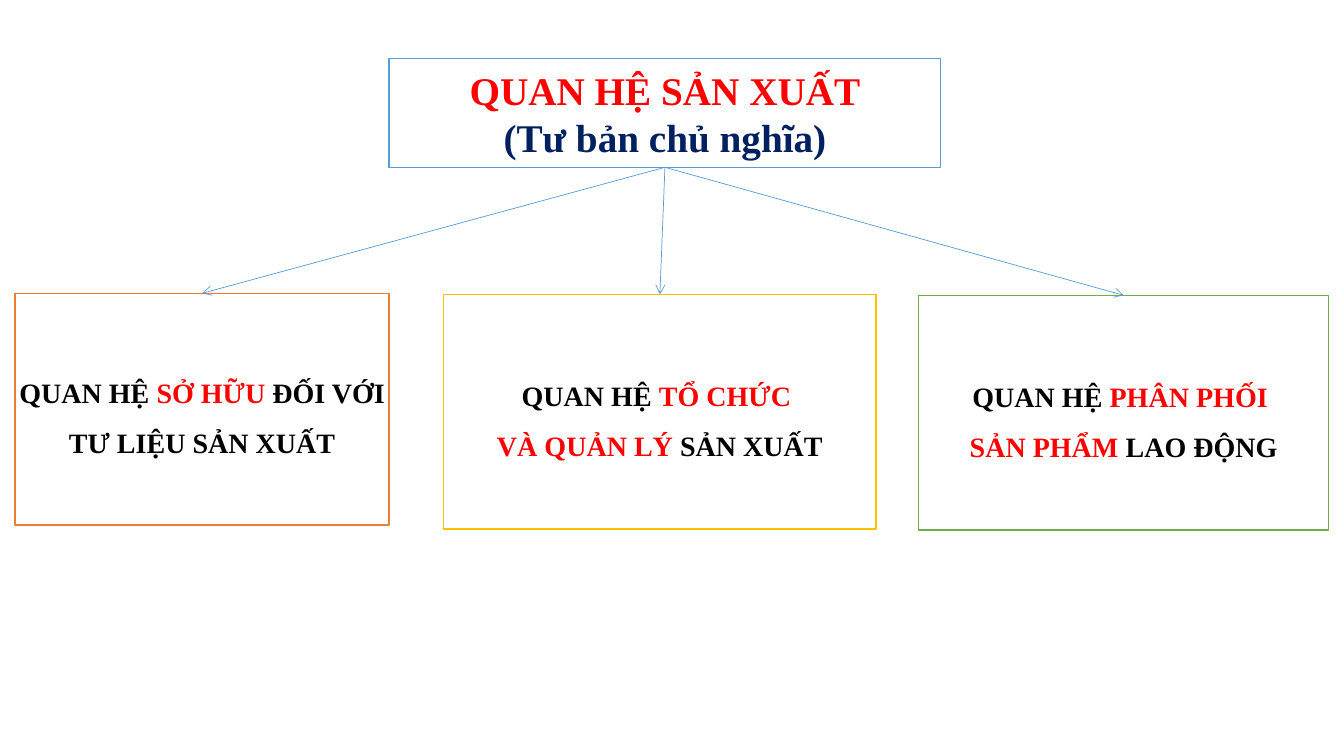
from lxml import etree
from pptx import Presentation
from pptx.dml.color import RGBColor
from pptx.enum.shapes import MSO_CONNECTOR, MSO_SHAPE
from pptx.enum.text import MSO_ANCHOR, PP_ALIGN
from pptx.oxml.ns import qn
from pptx.util import Inches, Pt

RECTANGLE = MSO_SHAPE.RECTANGLE
STRAIGHT = MSO_CONNECTOR.STRAIGHT
MIDDLE = MSO_ANCHOR.MIDDLE
CENTER = PP_ALIGN.CENTER
TOP_SITE, BOTTOM_SITE = 0, 2

WHITE = RGBColor(0xFF, 0xFF, 0xFF)
BLACK = RGBColor(0x00, 0x00, 0x00)
RED = RGBColor(0xFF, 0x00, 0x00)
NAVY = RGBColor(0x00, 0x20, 0x60)
BLUE = RGBColor(0x5B, 0x9B, 0xD5)
ORANGE = RGBColor(0xED, 0x7D, 0x31)
GOLD = RGBColor(0xFF, 0xC0, 0x00)
GREEN = RGBColor(0x70, 0xAD, 0x47)

TITLE = [[("QUAN HỆ SẢN XUẤT", RED)], [("(Tư bản chủ nghĩa)", NAVY)]]
BRANCHES = [
    ((0.15, 2.91, 3.71, 2.3), ORANGE, [
        [("QUAN HỆ ", BLACK), ("SỞ HỮU ", RED), ("ĐỐI VỚI", BLACK)],
        [("TƯ LIỆU SẢN XUẤT", BLACK)]]),
    ((4.4, 2.92, 4.29, 2.33), GOLD, [
        [("QUAN HỆ ", BLACK), ("TỔ CHỨC ", RED)],
        [("VÀ QUẢN LÝ", RED), (" SẢN XUẤT", BLACK)]]),
    ((9.11, 2.93, 4.07, 2.33), GREEN, [
        [("QUAN HỆ ", BLACK), ("PHÂN PHỐI ", RED)],
        [("SẢN PHẨM ", RED), ("LAO ĐỘNG", BLACK)]]),
]


class Diagram:
    """Draws the boxes and arrows of a tree diagram on one page."""

    def __init__(self, page):
        self.page = page
        self.font_style = {"name": "Times New Roman", "bold": True}

    def add_box(self, place, outline, lines, size, spacing=1.0):
        box = self.page.shapes.add_shape(RECTANGLE, *map(Inches, place))
        box.shadow.inherit = False
        box.fill.solid()
        box.fill.fore_color.rgb = WHITE
        box.line.color.rgb = outline
        box.line.width = Pt(1)
        frame = box.text_frame
        frame.word_wrap = False
        frame.vertical_anchor = MIDDLE
        for index, line in enumerate(lines):
            para = frame.add_paragraph() if index else frame.paragraphs[0]
            para.alignment = CENTER
            para.line_spacing = spacing
            for text, color in line:
                self.add_span(para, text, color, size)
        return box

    def add_span(self, para, text, color, size):
        span = para.add_run()
        span.text = text
        for name, value in {**self.font_style, "size": Pt(size)}.items():
            setattr(span.font, name, value)
        span.font.color.rgb = color

    def add_arrow(self, parent, child):
        arrow = self.page.shapes.add_connector(STRAIGHT, 0, 0, 0, 0)
        arrow.begin_connect(parent, BOTTOM_SITE)
        arrow.end_connect(child, TOP_SITE)
        arrow.line.color.rgb = BLUE
        arrow.line.width = Pt(0.5)
        etree.SubElement(arrow.line._get_or_add_ln(), qn("a:tailEnd"), type="arrow")
        etree.SubElement(arrow._element.spPr, qn("a:effectLst"))


def main():
    deck = Presentation()
    deck.slide_width = Inches(13.33)
    deck.slide_height = Inches(7.5)
    diagram = Diagram(deck.slides.add_slide(deck.slide_layouts[6]))
    title = diagram.add_box((3.86, 0.58, 5.47, 1.08), BLUE, TITLE, 28)
    branches = [diagram.add_box(place, outline, lines, 20, 1.5)
                for place, outline, lines in BRANCHES]
    for branch in branches:
        diagram.add_arrow(title, branch)
    deck.save("out.pptx")


if __name__ == "__main__":
    main()
